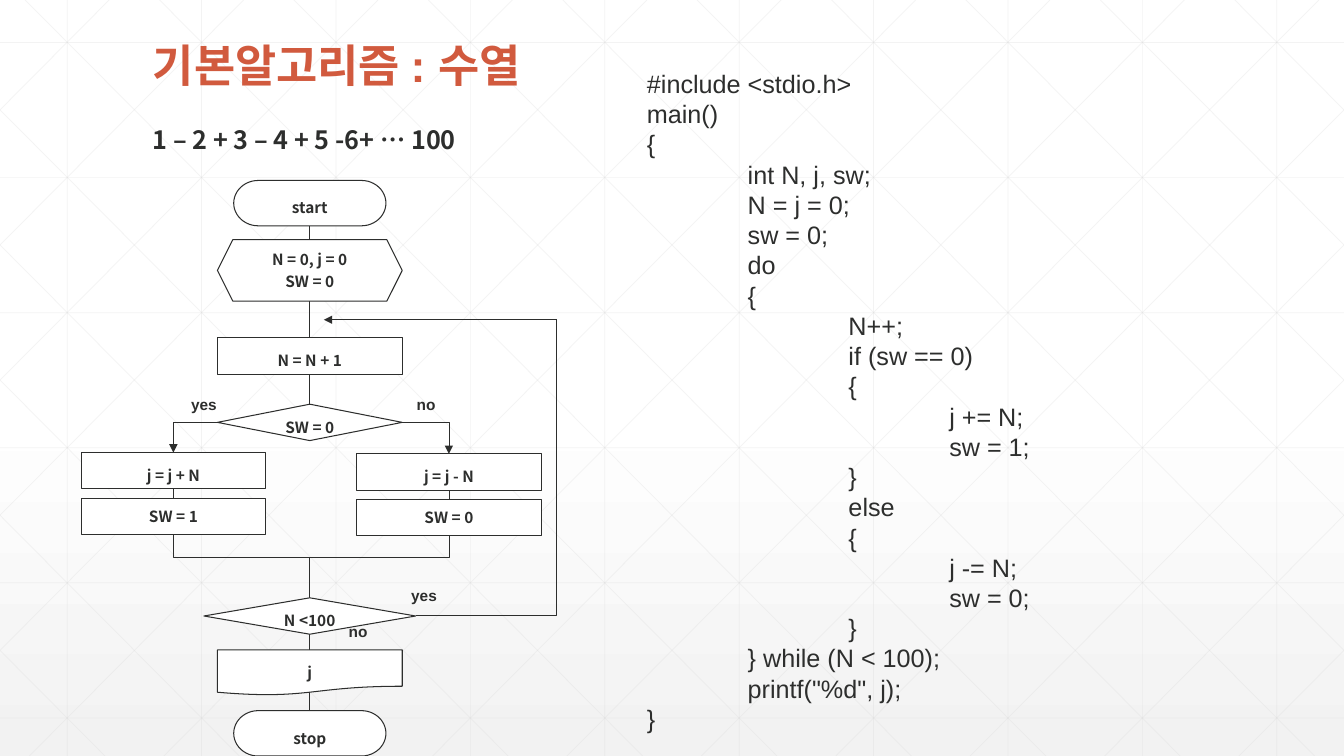
from lxml.etree import SubElement
from pptx import Presentation
from pptx.dml.color import RGBColor
from pptx.enum.shapes import MSO_CONNECTOR as LINK, MSO_SHAPE as SHAPE
from pptx.enum.text import MSO_ANCHOR as ANCHOR, PP_ALIGN as ALIGN
from pptx.oxml.ns import qn
from pptx.util import Pt

WIDTH, HEIGHT = 960, 540
INK = RGBColor(0x2D, 0x2E, 0x2D)
RUST = RGBColor(0xD1, 0x5A, 0x3E)
WHITE = RGBColor(0xFF, 0xFF, 0xFF)
PALE = RGBColor(0xF2, 0xF2, 0xF2)
GRID = RGBColor(0xD9, 0xD9, 0xD9)
LATIN, KOREAN = "Arial", "Noto Sans CJK KR"

CODE = """#include <stdio.h>
main()
{
\tint N, j, sw;
\tN = j = 0;
\tsw = 0;
\tdo
\t{
\t\tN++;
\t\tif (sw == 0)
\t\t{
\t\t\tj += N;
\t\t\tsw = 1;
\t\t}
\t\telse
\t\t{
\t\t\tj -= N;
\t\t\tsw = 0;
\t\t}
\t} while (N < 100);
\tprintf("%d", j);
}"""


def add_span(para, text, size=18, font=LATIN, color=INK, bold=False):
    span = para.add_run()
    span.text = text
    span.font.size, span.font.bold, span.font.name = Pt(size), bold, font
    span.font.color.rgb = color
    SubElement(span.font._element, qn("a:ea")).set("typeface", KOREAN)


def add_tabs(para, step, count=3):
    stops = SubElement(para._p.get_or_add_pPr(), qn("a:tabLst"))
    for number in range(1, count + 1):
        stop = SubElement(stops, qn("a:tab"))
        stop.set("pos", str(Pt(step * number)))
        stop.set("algn", "l")


def write(frame, text, align=ALIGN.LEFT, spacing=1.0, before=0, tab=0, **style):
    for index, line in enumerate(text.split("\n")):
        para = frame.paragraphs[0] if index == 0 else frame.add_paragraph()
        para.alignment, para.line_spacing = align, spacing
        para.space_before = Pt(before)
        if tab:
            add_tabs(para, tab)
        add_span(para, line, **style)


class Slide:
    def __init__(self, deck):
        self.page = deck.slides.add_slide(deck.slide_layouts[5])
        self.shapes = self.page.shapes

    def background(self):
        fill = self.page.background.fill
        fill.gradient()
        fill.gradient_angle = 270
        for stop, position, color in zip(fill.gradient_stops, (0.53, 1), (WHITE, PALE)):
            stop.position, stop.color.rgb = position, color

    def title(self, text, left, top, width, height):
        box = self.shapes.title
        box.left, box.top, box.width, box.height = map(Pt, (left, top, width, height))
        box.text_frame.vertical_anchor = ANCHOR.MIDDLE
        write(box.text_frame, text, spacing=0.9, size=32, color=RUST, bold=True)
        box.element.getparent().append(box.element)  # in front of the grid

    def text(self, text, left, top, width, height, wrap=True, **style):
        box = self.shapes.add_textbox(*map(Pt, (left, top, width, height)))
        box.text_frame.word_wrap = wrap
        write(box.text_frame, text, **style)

    def line(self, start, end, color=INK, weight=0.75, opacity=100, elbow=False, arrow=False):
        link = self.shapes.add_connector(
            LINK.ELBOW if elbow else LINK.STRAIGHT, *map(Pt, (*start, *end)))
        link.line.color.rgb, link.line.width = color, Pt(weight)
        props = link.element.spPr
        outline = props.find(qn("a:ln"))
        if elbow:  # one corner: sideways first, then up or down
            props.find(qn("a:prstGeom")).set("prst", "bentConnector2")
        if opacity < 100:
            tint = outline.find(".//" + qn("a:srgbClr"))
            SubElement(tint, qn("a:alpha")).set("val", str(opacity * 1000))
        if arrow:
            SubElement(outline, qn("a:tailEnd")).set("type", "triangle")
        SubElement(props, qn("a:effectLst"))

    def node(self, kind, text, center, top, width, height, spacing=1.5):
        box = self.shapes.add_shape(
            kind, *map(Pt, (center - width / 2, top, width, height)))
        box.shadow.inherit = False
        box.fill.solid()
        box.fill.fore_color.rgb = WHITE
        box.line.color.rgb, box.line.width = INK, Pt(0.75)
        frame = box.text_frame
        frame.word_wrap, frame.vertical_anchor = True, ANCHOR.MIDDLE
        frame.margin_left = frame.margin_right = frame.margin_top = frame.margin_bottom = 0
        write(frame, text, align=ALIGN.CENTER, spacing=spacing, before=2.2,
              size=11, font=KOREAN, bold=True)


deck = Presentation()
deck.slide_width, deck.slide_height = Pt(WIDTH), Pt(HEIGHT)
slide = Slide(deck)
slide.background()

# Background grid: verticals, horizontals, then mirrored diagonals cut at the edges
grid = [((x, 0), (x, HEIGHT)) for x in range(48, WIDTH, 96)]
grid += [((0, 30.4 + 96.48 * row), (WIDTH, 30.4 + 96.48 * row)) for row in range(6)]
RUN = 537
for top_x in range(18 - 5 * 96, WIDTH, 96):
    left, right = max(top_x, 0), min(top_x + RUN, WIDTH)
    ends = [(x, (x - top_x) * HEIGHT / RUN) for x in (left, right)]
    grid += [ends, [(WIDTH - x, y) for x, y in ends]]
for start, end in grid:
    slide.line(start, end, color=GRID, weight=0.5, opacity=30)

# Heading, series and program
slide.title("기본알고리즘 : 수열", 102, 26.4, 756, 44)
slide.text("1 – 2 + 3 – 4 + 5 -6+ … 100", 102, 74.5, 756, 40,
           spacing=1.5, before=3.6, font=KOREAN, bold=True)
slide.text(CODE, 455, 45.2, 480, 487, spacing=Pt(21.6), tab=72)

# Flowchart links
AXIS, ADD, SUBTRACT, LOOP = 221.3, 123.9, 320.7, 397.6
HALF, MERGE, RETURN = 66, 397.9, 228.4
TEST, REPEAT = 301.7, 439.8
slide.line((AXIS, MERGE), (AXIS, 538))
slide.line((AXIS, 161), (AXIS, 289))
slide.line((AXIS + 75.6, REPEAT), (LOOP, RETURN), elbow=True)
slide.line((LOOP, RETURN), (231.3, RETURN), arrow=True)
for column, side, step_top, join in ((ADD, -1, 323.3, 155.5), (SUBTRACT, 1, 324.2, 150.3)):
    slide.line((AXIS + side * HALF, TEST), (column, step_top),
               weight=0.5, elbow=True, arrow=True)
    slide.line((join, MERGE), (column, step_top + 26), weight=0.5, elbow=True)

# Flowchart nodes
BOX, CAP = 132, 108.7
for node in (
    (SHAPE.FLOWCHART_TERMINATOR, "start", AXIS, 128.9, CAP, 32.4),
    (SHAPE.HEXAGON, "N = 0, j = 0\nSW = 0", AXIS, 171.2, BOX, 43.9, 1.0),
    (SHAPE.RECTANGLE, "N = N + 1", AXIS, 241.2, BOX, 26),
    (SHAPE.DIAMOND, "SW = 0", AXIS, 288.7, BOX, 26),
    (SHAPE.RECTANGLE, "j = j + N", ADD, 323.3, BOX, 26),
    (SHAPE.RECTANGLE, "SW = 1", ADD, 355.9, BOX, 26, 1.0),
    (SHAPE.RECTANGLE, "j = j - N", SUBTRACT, 324.2, BOX, 26),
    (SHAPE.RECTANGLE, "SW = 0", SUBTRACT, 356.7, BOX, 26, 1.0),
    (SHAPE.DIAMOND, "N <100", AXIS, 427, 151.2, 26),
    (SHAPE.FLOWCHART_DOCUMENT, "j", AXIS, 464.2, BOX, 32.4),
    (SHAPE.FLOWCHART_TERMINATOR, "stop", AXIS, 507.6, CAP, 32.4),
):
    slide.node(*node)

# Branch labels
for word, left, top, width in (
    ("yes", 129.2, 278.6, 33), ("no", 289.4, 278.6, 30),
    ("yes", 284.4, 415, 37), ("no", 239.8, 440.6, 32),
):
    slide.text(word, left, top, width, 22, wrap=False, align=ALIGN.CENTER, size=11, bold=True)

deck.save("out.pptx")
